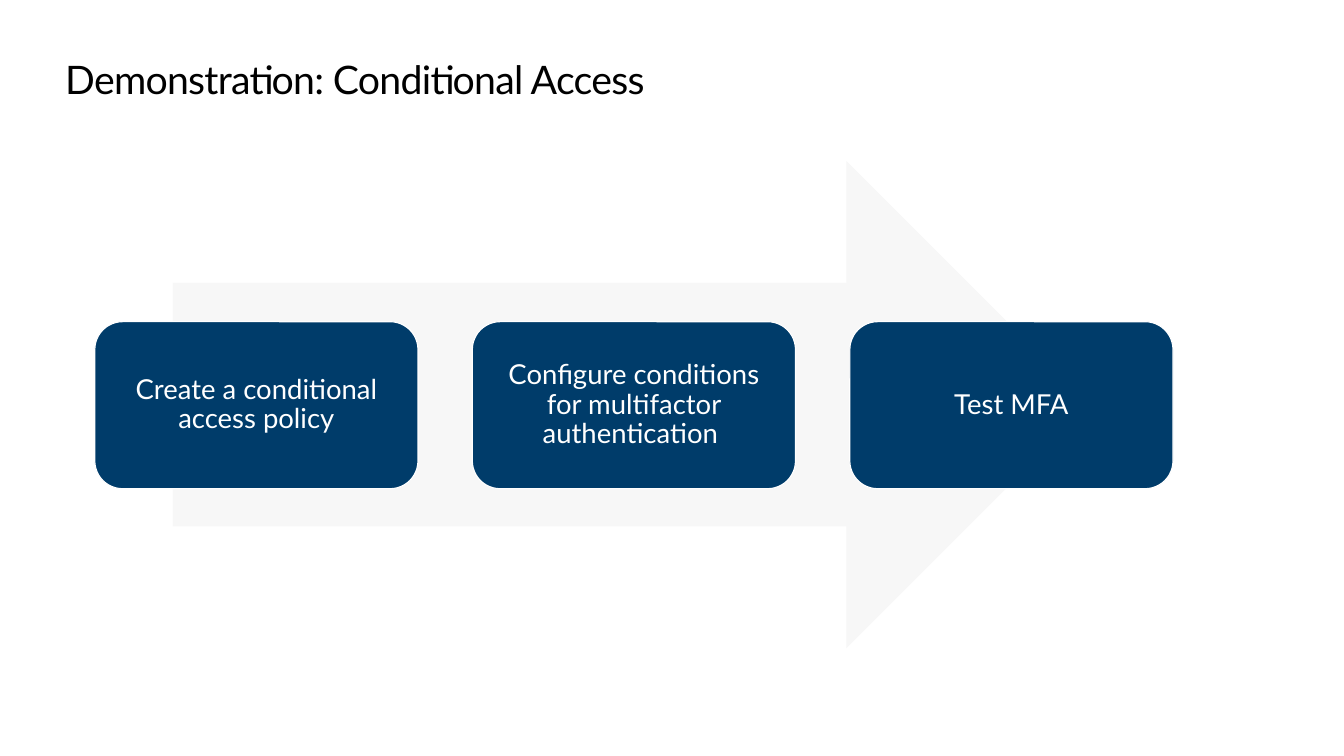
from pptx import Presentation
from pptx.dml.color import RGBColor
from pptx.enum.shapes import MSO_SHAPE
from pptx.enum.text import MSO_ANCHOR, PP_ALIGN
from pptx.util import Inches, Pt

BLACK = RGBColor(0x00, 0x00, 0x00)
WHITE = RGBColor(0xFF, 0xFF, 0xFF)
NAVY = RGBColor(0x00, 0x3C, 0x6A)
PALE_GRAY = RGBColor(0xF7, 0xF7, 0xF7)

COLUMNS, ROWS = 136, 76.5
STEPS = [
    "Create a conditional access policy",
    "Configure conditions for multifactor authentication ",
    "Test MFA",
]
STEP_LEFT, STEP_TOP, STEP_WIDTH, STEP_HEIGHT = 9.6, 32.55, 32.7, 16.9
STEP_PITCH = 38.2


def apply_format(target, values):
    for name, value in values.items():
        setattr(target, name, value)


class ProcessSlide:
    font_name = "Lato"
    line_spacing = 0.9

    def __init__(self, presentation):
        self.slide = presentation.slides.add_slide(presentation.slide_layouts[6])
        self.column = presentation.slide_width / COLUMNS
        self.row = presentation.slide_height / ROWS

    def place(self, left, top, width, height):
        """Turn grid columns and rows into slide lengths."""
        return (round(left * self.column), round(top * self.row),
                round(width * self.column), round(height * self.row))

    def add_text(self, shape, text, frame_format, size, color, alignment):
        frame = shape.text_frame
        apply_format(frame, {"word_wrap": True, **frame_format})
        paragraph = frame.paragraphs[0]
        apply_format(paragraph, {"alignment": alignment,
                                 "line_spacing": self.line_spacing})
        run = paragraph.add_run()
        run.text = text
        apply_format(run.font, {"name": self.font_name, "size": Pt(size)})
        run.font.color.rgb = color
        return run

    def title(self, text, *cells):
        box = self.slide.shapes.add_textbox(*self.place(*cells))
        insets = {"margin_left": 0, "margin_top": Inches(0.1),
                  "margin_right": Inches(0.16), "margin_bottom": Inches(0.1),
                  "vertical_anchor": MSO_ANCHOR.TOP}
        run = self.add_text(box, text, insets, 28.6, BLACK, PP_ALIGN.LEFT)
        run._r.get_or_add_rPr().set("spc", "-50")

    def shape(self, kind, fill, *cells):
        shape = self.slide.shapes.add_shape(kind, *self.place(*cells))
        shape.shadow.inherit = False
        shape.fill.solid()
        shape.fill.fore_color.rgb = fill
        shape.line.fill.background()
        return shape

    def arrow(self, *cells):
        self.shape(MSO_SHAPE.RIGHT_ARROW, PALE_GRAY, *cells)

    def step(self, text, *cells):
        card = self.shape(MSO_SHAPE.ROUNDED_RECTANGLE, NAVY, *cells)
        card.line.color.rgb = WHITE
        card.line.width = Pt(0.85)
        sides = ("left", "top", "right", "bottom")
        insets = {f"margin_{side}": Inches(0.16) for side in sides}
        self.add_text(card, text, {**insets, "vertical_anchor": MSO_ANCHOR.MIDDLE},
                      20, WHITE, PP_ALIGN.CENTER)


def main():
    presentation = Presentation()
    presentation.slide_width = Inches(13.6)
    presentation.slide_height = Inches(7.65)
    page = ProcessSlide(presentation)
    page.title("Demonstration: Conditional Access", 6.6, 5.1, 122.9, 4.8)
    page.arrow(17.5, 16.3, 92.8, 49.3)
    for index, text in enumerate(STEPS):
        page.step(text, STEP_LEFT + index * STEP_PITCH, STEP_TOP,
                  STEP_WIDTH, STEP_HEIGHT)
    presentation.save("out.pptx")


if __name__ == "__main__":
    main()
